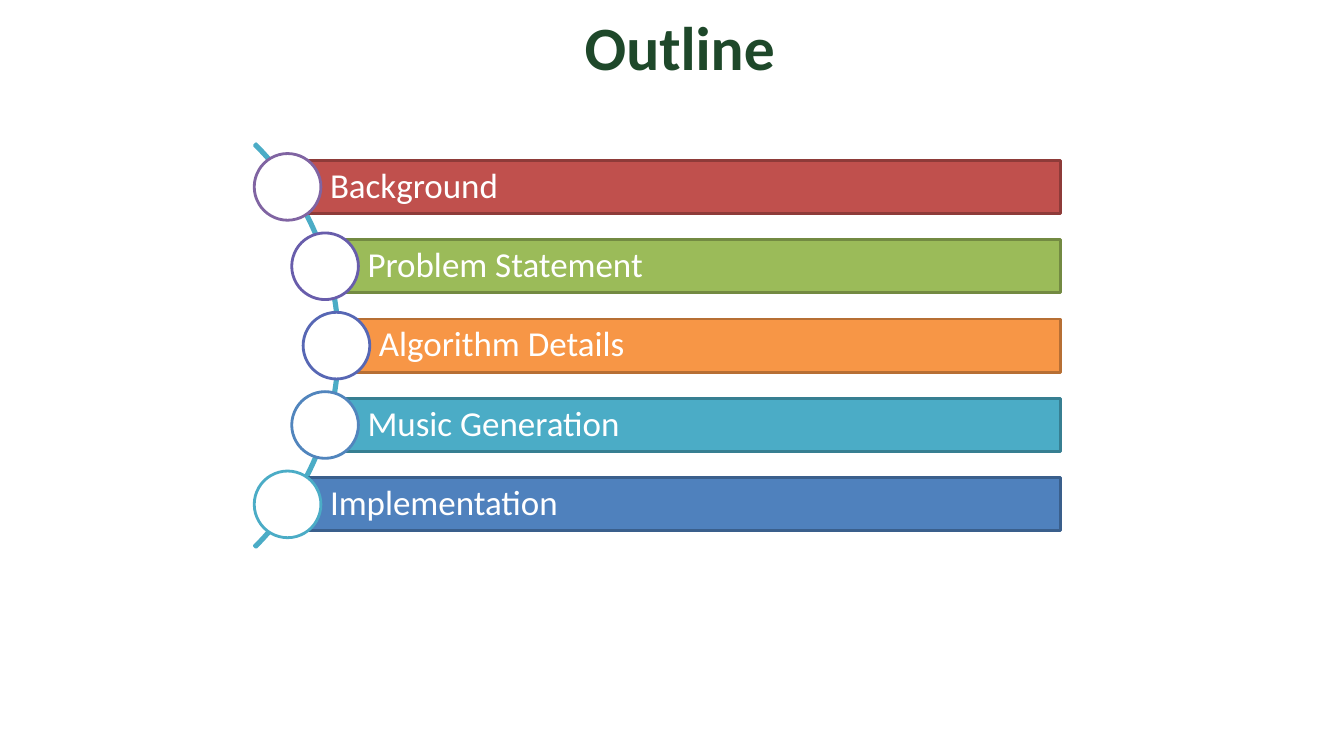
import math

from pptx import Presentation
from pptx import util as u
from pptx.dml.color import RGBColor
from pptx.enum import shapes, text

WHITE = RGBColor(0xFF, 0xFF, 0xFF)
DARK_GREEN = RGBColor(0x1E, 0x48, 0x2A)
TEAL = RGBColor(0x4B, 0xAC, 0xC6)

# Label, bar fill, bar line, dot line
TOPICS = [
    ("Background", RGBColor(0xC0, 0x50, 0x4D), RGBColor(0x8E, 0x3B, 0x39), RGBColor(0x80, 0x64, 0xA2)),
    ("Problem Statement", RGBColor(0x9B, 0xBB, 0x59), RGBColor(0x73, 0x8A, 0x42), RGBColor(0x68, 0x5D, 0xAB)),
    ("Algorithm Details", RGBColor(0xF7, 0x96, 0x46), RGBColor(0xB7, 0x6F, 0x34), RGBColor(0x57, 0x67, 0xB4)),
    ("Music Generation", TEAL, RGBColor(0x37, 0x7F, 0x92), RGBColor(0x51, 0x85, 0xBD)),
    ("Implementation", RGBColor(0x4F, 0x81, 0xBD), RGBColor(0x3A, 0x5F, 0x8C), TEAL),
]

TITLE_FONT = {"name": "Calibri", "size": u.Pt(44), "bold": True}
TOPIC_FONT = {"name": "Calibri", "size": u.Pt(25), "bold": False}
TOPIC_FRAME = {
    "word_wrap": True,
    "vertical_anchor": text.MSO_ANCHOR.MIDDLE,
    "margin_left": u.Cm(1.07),
    "margin_right": u.Cm(0.18),
    "margin_top": u.Cm(0.18),
    "margin_bottom": u.Cm(0.18),
}


def set_all(obj, values):
    for name, value in values.items():
        setattr(obj, name, value)


def write(tf, words, align, font, color):
    p = tf.paragraphs[0]
    set_all(p, {"alignment": align, "line_spacing": 0.9})
    r = p.add_run()
    r.text = words
    set_all(r.font, font)
    r.font.color.rgb = color


def add_outlined(s, kind, box, line, fill=None):
    sp = s.shapes.add_shape(kind, *[u.Cm(v) for v in box])
    sp.shadow.inherit = False
    if fill is None:
        sp.fill.background()
    else:
        sp.fill.solid()
        sp.fill.fore_color.rgb = fill
    sp.line.color.rgb = line
    sp.line.width = u.Pt(2)
    return sp


def add_title(s, box, words):
    tf = s.shapes.add_textbox(*[u.Cm(v) for v in box]).text_frame
    tf.word_wrap = True
    write(tf, words, text.PP_ALIGN.CENTER, TITLE_FONT, DARK_GREEN)


def add_curved_list(s, box, topics):
    left, top, width, height = box
    row = height / len(topics)
    bar, dot = 0.67 * row, 0.84 * row
    mid_x, mid_y = left - 5.03, top + height / 2

    # Arc behind the dots
    radius = 7.19
    arc = add_outlined(s, shapes.MSO_SHAPE.BLOCK_ARC,
                       (mid_x - radius, mid_y - radius, 2 * radius, 2 * radius), TEAL)
    for i, value in enumerate((189, 27, 0.004)):
        arc.adjustments[i] = value

    # Bars start at the centres of the dots, which lie on a curve
    for i, (label, fill, bar_line, dot_line) in enumerate(topics):
        y = top + (i + 0.5) * row
        x = mid_x + math.sqrt(7.11 ** 2 - (y - mid_y) ** 2)
        sp = add_outlined(s, shapes.MSO_SHAPE.RECTANGLE,
                          (x, y - bar / 2, left + width - x, bar), bar_line, fill)
        set_all(sp.text_frame, TOPIC_FRAME)
        write(sp.text_frame, label, text.PP_ALIGN.LEFT, TOPIC_FONT, WHITE)
        add_outlined(s, shapes.MSO_SHAPE.OVAL,
                     (x - dot / 2, y - dot / 2, dot, dot), dot_line, WHITE)


def main():
    prs = Presentation()
    prs.slide_width, prs.slide_height = u.Cm(33.87), u.Cm(19.05)
    s = prs.slides.add_slide(prs.slide_layouts[6])
    add_title(s, (0.2, 0.3, 33.87, 2.44), "Outline")
    add_curved_list(s, (6.4, 3.71, 20.32, 10), TOPICS)
    prs.save("out.pptx")


if __name__ == "__main__":
    main()
